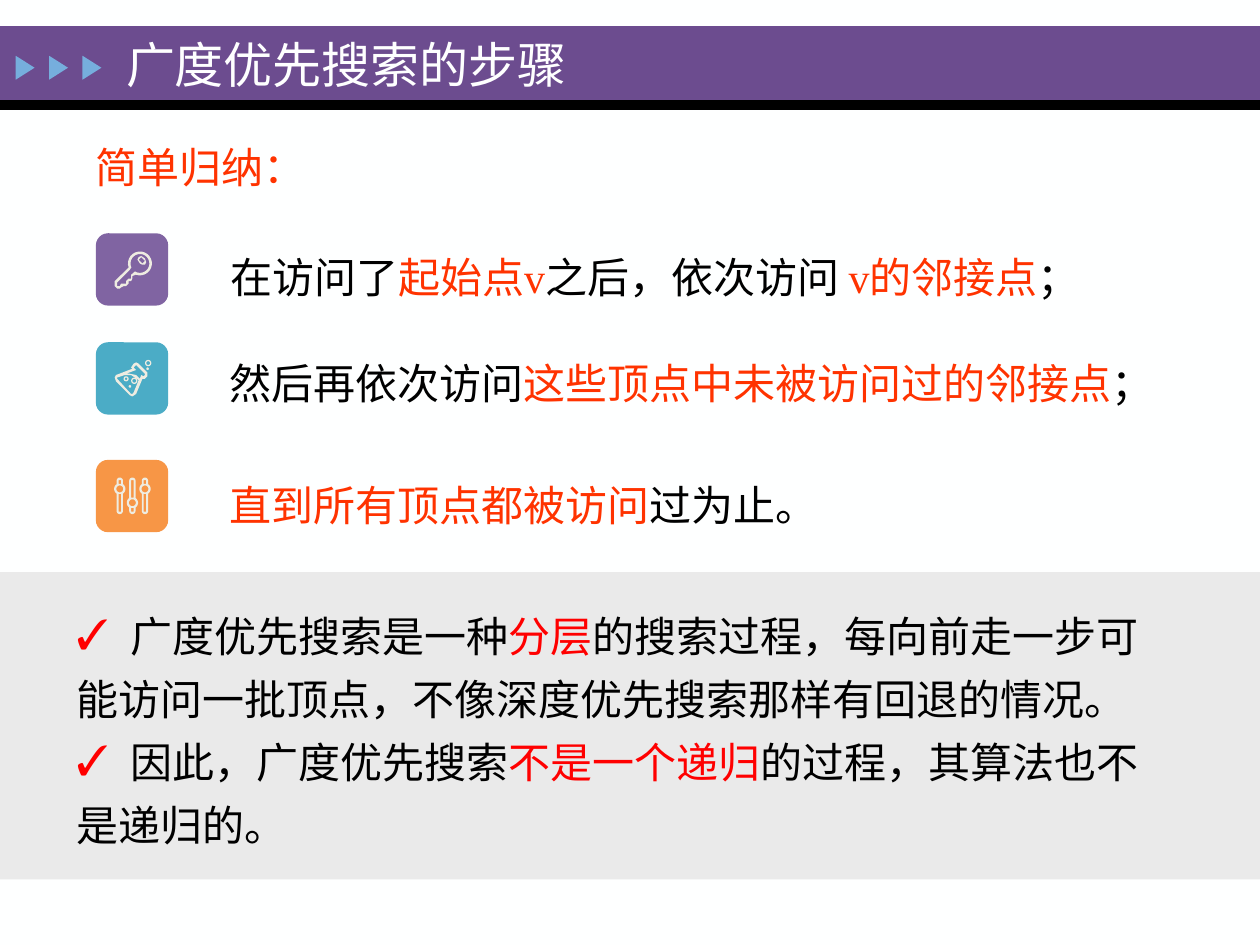
import math
from dataclasses import dataclass

import lxml.etree
import pptx
import pptx.dml.color
import pptx.enum.shapes
import pptx.enum.text
import pptx.oxml.ns
import pptx.util

Pt = pptx.util.Pt
ShapeKind = pptx.enum.shapes.MSO_SHAPE


@dataclass(frozen=True)
class Theme:
    """Colours, font and type sizes of the slide."""
    font: str = "Times New Roman"
    title_size: int = 28
    body_size: int = 24
    line_spacing: float = 1.25
    background: str = "FEFFFF"
    banner: str = "6C4C8F"
    black: str = "000000"
    arrow: str = "76AEDD"
    panel: str = "EAEAEA"
    accent: str = "FF3300"
    red: str = "FF0000"
    glyph: str = "EEECE1"
    key_tile: str = "8064A2"
    flask_tile: str = "4BACC6"
    slider_tile: str = "F79646"


def arc(x, y, radius, start=0, end=360):
    """Return points along a circular arc, angles in degrees clockwise from the right."""
    steps = max(6, round(abs(end - start) / 15))
    angles = [math.radians(start + (end - start) * i / steps) for i in range(steps + 1)]
    return [(x + radius * math.cos(a), y + radius * math.sin(a)) for a in angles]


def ring(x, y, radius):
    """Return the two contours of a thin ring."""
    return [arc(x, y, radius), arc(x, y, radius - 1)]


def slider(x, knob):
    """Return the contours of one slider with its knob at the given height."""
    outline = (arc(x, 16.5, 2.5, 180, 360) + arc(x, knob, 4.5, -56, 56)
               + arc(x, 40.5, 2.5, 0, 180) + arc(x, knob, 4.5, 124, 236))
    slots = [[(x - 1, top), (x + 1, top), (x + 1, bottom), (x - 1, bottom)]
             for top, bottom in ((16, knob - 4), (knob + 4, 41))]
    return [outline, arc(x, knob, 2.75)] + slots


KEY = [
    [arc(35, 24, 9.5, 110, -200)
     + [(15, 38), (15, 42), (17, 44), (19, 44), (20, 43), (22, 42), (24, 42),
        (26, 40), (26, 38), (28, 38), (29, 36), (29, 34)],
     arc(35, 24, 7.5, 122, -205)
     + [(27, 29), (17, 39), (17, 42), (19, 42), (20, 40), (24, 40), (24, 38),
        (26, 36), (28, 36), (28, 33)]],
    [[(36, 18), (34, 19), (33, 21), (35, 24), (37, 25), (39, 25), (40, 23), (39, 20)],
     [(36, 19), (34, 21), (37, 24), (39, 22)]],
]
FLASK = [
    [[(34, 17), (32, 16), (30, 17), (28, 20), (29, 21), (16, 26), (15, 28), (16, 31),
      (27, 42), (29, 43), (32, 41), (37, 29), (39, 29), (41, 27), (41, 24)],
     [(39, 26), (38, 27), (36, 26), (35, 29), (32, 26), (27, 25), (24, 25),
      (32, 22), (30, 20), (32, 18), (39, 25)],
     [(30, 40), (29, 41), (28, 41), (17, 29), (17, 28), (23, 26), (28, 26), (34, 30)]],
    ring(30.5, 30.5, 2.5), ring(41.5, 16.5, 2.5), ring(24, 29, 2),
    [arc(27, 35, 1)], [arc(41, 21, 1)],
]
SLIDERS = [slider(19, 23), slider(39, 23), slider(29, 34)]


class SlideBuilder:
    """Draws styled elements on the current slide."""

    def __init__(self, slide, theme):
        self.slide = slide
        self.theme = theme
        slide.background.fill.solid()
        slide.background.fill.fore_color.rgb = self.color(theme.background)

    def color(self, value):
        """Return an RGB colour."""
        return pptx.dml.color.RGBColor.from_string(value)

    def paint(self, shape, fill):
        """Give a shape a plain fill without line or shadow."""
        shape.shadow.inherit = False
        shape.fill.solid()
        shape.fill.fore_color.rgb = self.color(fill)
        shape.line.fill.background()

    def shape(self, kind, left, top, width, height, fill, shapes=None):
        """Add a preset shape to the slide or to a group."""
        target = self.slide.shapes if shapes is None else shapes
        shape = target.add_shape(kind, Pt(left), Pt(top), Pt(width), Pt(height))
        self.paint(shape, fill)
        return shape

    def icon(self, left, top, fill, glyphs):
        """Add a rounded tile with its line-art glyphs as one group."""
        shapes = self.slide.shapes.add_group_shape().shapes
        self.shape(ShapeKind.ROUNDED_RECTANGLE, left, top, 41.3, 41.3, fill, shapes)
        unit = 0.72
        for contours in glyphs:
            placed = [[(Pt(left + x * unit), Pt(top + y * unit)) for x, y in contour]
                      for contour in contours]
            builder = shapes.build_freeform(*placed[0][0])
            builder.add_line_segments(placed[0][1:])
            for contour in placed[1:]:
                builder.move_to(*contour[0])
                builder.add_line_segments(contour[1:])
            self.paint(builder.convert_to_shape(), self.theme.glyph)

    def title(self, text, left, top, width, height):
        """Place and format the title placeholder in front of the banner."""
        title = self.slide.shapes.title
        title.left, title.top, title.width, title.height = map(Pt, (left, top, width, height))
        title.text_frame.text = text
        title.text_frame.vertical_anchor = pptx.enum.text.MSO_ANCHOR.MIDDLE
        paragraph = title.text_frame.paragraphs[0]
        paragraph.alignment = pptx.enum.text.PP_ALIGN.LEFT
        paragraph.font.name = self.theme.font
        paragraph.font.size = Pt(self.theme.title_size)
        paragraph.font.color.rgb = self.color(self.theme.background)
        self.slide.shapes.element.append(title.element)

    def check_bullet(self, paragraph):
        """Give a paragraph a red check mark and a tab stop for its text."""
        properties = paragraph._p.get_or_add_pPr()
        properties.set("marL", "0")
        properties.set("indent", "0")

        def add(parent, tag, **attributes):
            return lxml.etree.SubElement(parent, pptx.oxml.ns.qn(tag), attributes)

        add(add(properties, "a:buClr"), "a:srgbClr", val=self.theme.red)
        add(properties, "a:buFont", typeface=self.theme.font)
        add(properties, "a:buChar", char="✓")
        add(add(properties, "a:tabLst"), "a:tab", pos=str(Pt(31)), algn="l")

    def text(self, left, top, width, height, paragraphs, bullets=False):
        """Add a text box whose paragraphs are lists of (text, colour) runs."""
        box = self.slide.shapes.add_textbox(Pt(left), Pt(top), Pt(width), Pt(height))
        frame = box.text_frame
        frame.word_wrap = True
        frame.auto_size = pptx.enum.text.MSO_AUTO_SIZE.SHAPE_TO_FIT_TEXT
        for index, runs in enumerate(paragraphs):
            paragraph = frame.add_paragraph() if index else frame.paragraphs[0]
            if bullets:
                self.check_bullet(paragraph)
            paragraph.line_spacing = self.theme.line_spacing
            paragraph.font.name = self.theme.font
            paragraph.font.size = Pt(self.theme.body_size)
            for content, color in runs:
                run = paragraph.add_run()
                run.text = content
                run.font.color.rgb = self.color(color)


def main():
    """Build the slide on the steps of breadth-first search."""
    theme = Theme()
    presentation = pptx.Presentation()
    presentation.slide_width, presentation.slide_height = Pt(720), Pt(540)
    builder = SlideBuilder(presentation.slides.add_slide(presentation.slide_layouts[5]), theme)
    black, accent, red = theme.black, theme.accent, theme.red

    builder.shape(ShapeKind.RECTANGLE, 0, 15, 720, 42.5, theme.banner)
    builder.shape(ShapeKind.RECTANGLE, 0, 57.3, 720, 5.6, black)
    for index in range(3):
        arrow = builder.shape(ShapeKind.ISOSCELES_TRIANGLE, 7.5 + 19.1 * index, 33.3,
                              13.7, 10.8, theme.arrow)
        arrow.rotation = 90
    builder.title("广度优先搜索的步骤", 64.8, 16.6, 402.5, 40.3)
    builder.shape(ShapeKind.RECTANGLE, 0, 326.9, 720, 175.7, theme.panel)
    builder.text(47.5, 70.1, 647.3, 40.3, [[("简单归纳：", accent)]])

    steps = [
        (133.3, theme.key_tile, KEY, 124.5, 133.2,
         [("在访问了", black), ("起始点v", accent), ("之后，依次访问 ", black),
          ("v的邻接点", accent), ("；", black)]),
        (195.6, theme.flask_tile, FLASK, 124.1, 193.7,
         [("然后再依次访问", black), ("这些顶点中未被访问过的邻接点", accent), ("；", black)]),
        (262.8, theme.slider_tile, SLIDERS, 124.1, 263.5,
         [("直到所有顶点都被访问", accent), ("过为止。", black)]),
    ]
    for tile_top, fill, glyphs, left, top, runs in steps:
        builder.icon(54.8, tile_top, fill, glyphs)
        builder.text(left, top, 558.7, 40.3, [runs])

    builder.text(36.7, 338.1, 635, 152.6, [
        [("\t广度优先搜索是一种", black), ("分层", red),
         ("的搜索过程，每向前走一步可能访问一批顶点，不像深度优先搜索那样有回退的情况。", black)],
        [("\t因此，广度优先搜索", black), ("不是一个递归", red),
         ("的过程，其算法也不是递归的。", black)],
    ], bullets=True)
    presentation.save("out.pptx")


if __name__ == "__main__":
    main()
